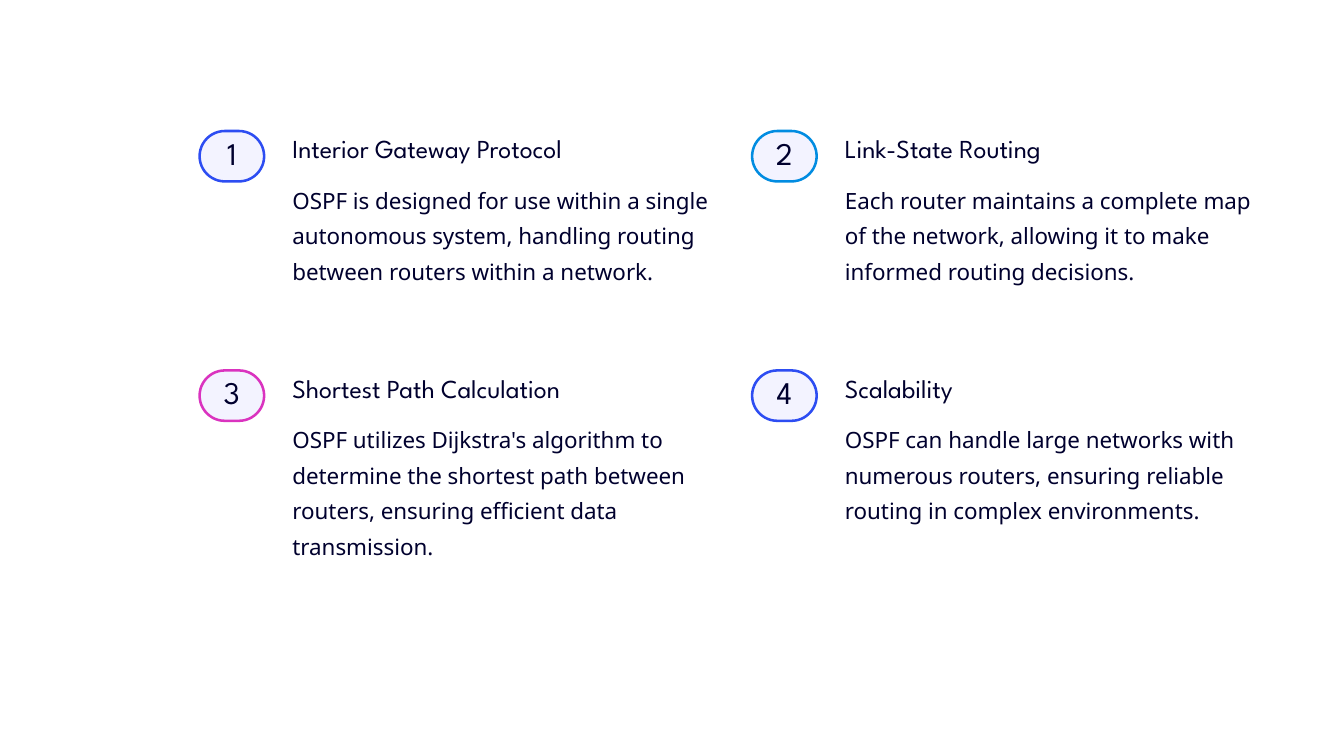
import dataclasses

import pptx
import pptx.dml.color
import pptx.enum.shapes
import pptx.enum.text
import pptx.util

Inches, Pt = pptx.util.Inches, pptx.util.Pt
RGB = pptx.dml.color.RGBColor.from_string
ALIGN = pptx.enum.text.PP_ALIGN


@dataclasses.dataclass(frozen=True)
class Theme:
    ink: str = "00002E"
    badge: str = "F3F3FF"
    blue: str = "2D4DF2"
    cyan: str = "018CE1"
    pink: str = "DA33BF"
    head_font: str = "League Spartan"
    body_font: str = "Noto Sans"
    number_size: float = 22.5
    head_size: float = 18.5
    body_size: float = 16
    badge_line: float = 1.8


T = Theme()

FEATURES = [
    ("Interior Gateway Protocol",
     "OSPF is designed for use within a single autonomous system, "
     "handling routing between routers within a network.", T.blue),
    ("Link-State Routing",
     "Each router maintains a complete map of the network, "
     "allowing it to make informed routing decisions.", T.cyan),
    ("Shortest Path Calculation",
     "OSPF utilizes Dijkstra's algorithm to determine the shortest path "
     "between routers, ensuring efficient data transmission.", T.pink),
    ("Scalability",
     "OSPF can handle large networks with numerous routers, "
     "ensuring reliable routing in complex environments.", T.blue),
]


def add_text(shapes, text, x, y, w, h, *, font, size, spacing, align=ALIGN.LEFT):
    box = shapes.add_textbox(Inches(x), Inches(y), Inches(w), Inches(h))
    tf = box.text_frame
    tf.word_wrap = True
    tf.margin_left = tf.margin_right = tf.margin_top = tf.margin_bottom = 0
    p = tf.paragraphs[0]
    p.alignment = align
    p.line_spacing = Pt(spacing)
    r = p.add_run()
    r.text = text
    r.font.name = font
    r.font.size = Pt(size)
    r.font.color.rgb = RGB(T.ink)


def add_badge(shapes, number, color, x, y, w=0.64, h=0.5):
    sp = shapes.add_shape(pptx.enum.shapes.MSO_SHAPE.ROUNDED_RECTANGLE,
                          Inches(x), Inches(y), Inches(w), Inches(h))
    sp.adjustments[0] = 0.5
    sp.shadow.inherit = False
    sp.fill.solid()
    sp.fill.fore_color.rgb = RGB(T.badge)
    sp.line.color.rgb = RGB(color)
    sp.line.width = Pt(T.badge_line)
    add_text(shapes, str(number), x + 0.2, y + 0.09, w - 0.4, 0.32, font=T.head_font,
             size=T.number_size, spacing=22.5, align=ALIGN.CENTER)


def add_feature(s, number, heading, body, color, x, y, w, h):
    """Numbered badge with a heading and a description to its right."""
    shapes = s.shapes.add_group_shape().shapes
    indent, body_top = 0.92, 0.465
    add_badge(shapes, number, color, x, y)
    add_text(shapes, heading, x + indent, y, w - indent, 0.33,
             font=T.head_font, size=T.head_size, spacing=23.5)
    add_text(shapes, body, x + indent, y + body_top, w - indent, h - body_top,
             font=T.body_font, size=T.body_size, spacing=25.5)


def add_feature_grid(s, x, y, col_step, row_step, cell_w, cell_h, cols=2):
    for i, feature in enumerate(FEATURES):
        row, col = divmod(i, cols)
        add_feature(s, i + 1, *feature, x + col * col_step, y + row * row_step,
                    cell_w, cell_h)


def main():
    prs = pptx.Presentation()
    prs.slide_width, prs.slide_height = Inches(13.33), Inches(7.5)
    # Blank layout: the slide has no title
    s = prs.slides.add_slide(prs.slide_layouts[6])
    # Two by two grid of OSPF features
    add_feature_grid(s, 1.98, 1.3, col_step=5.48, row_step=2.375, cell_w=5.19, cell_h=1.9)
    prs.save("out.pptx")


if __name__ == "__main__":
    main()
